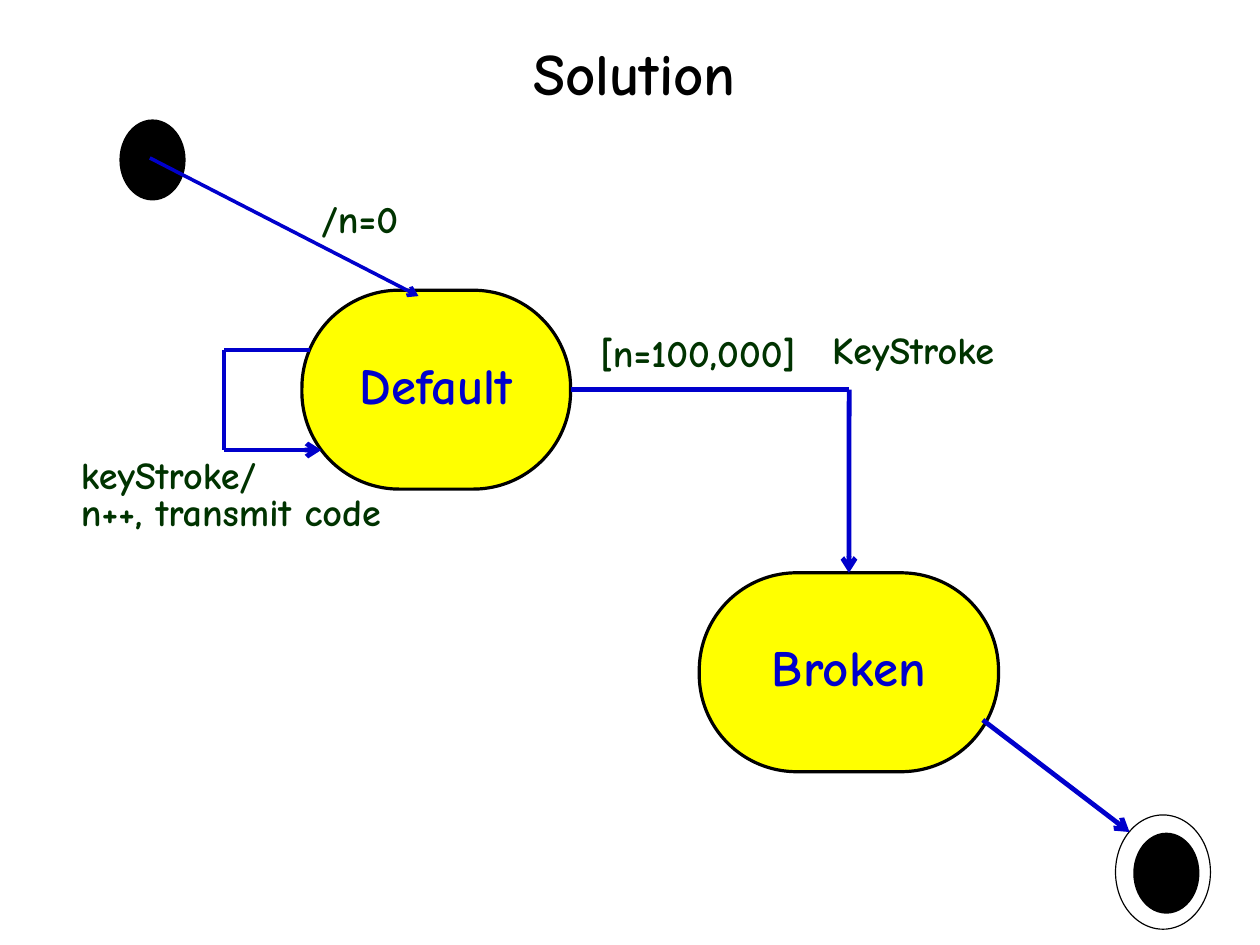
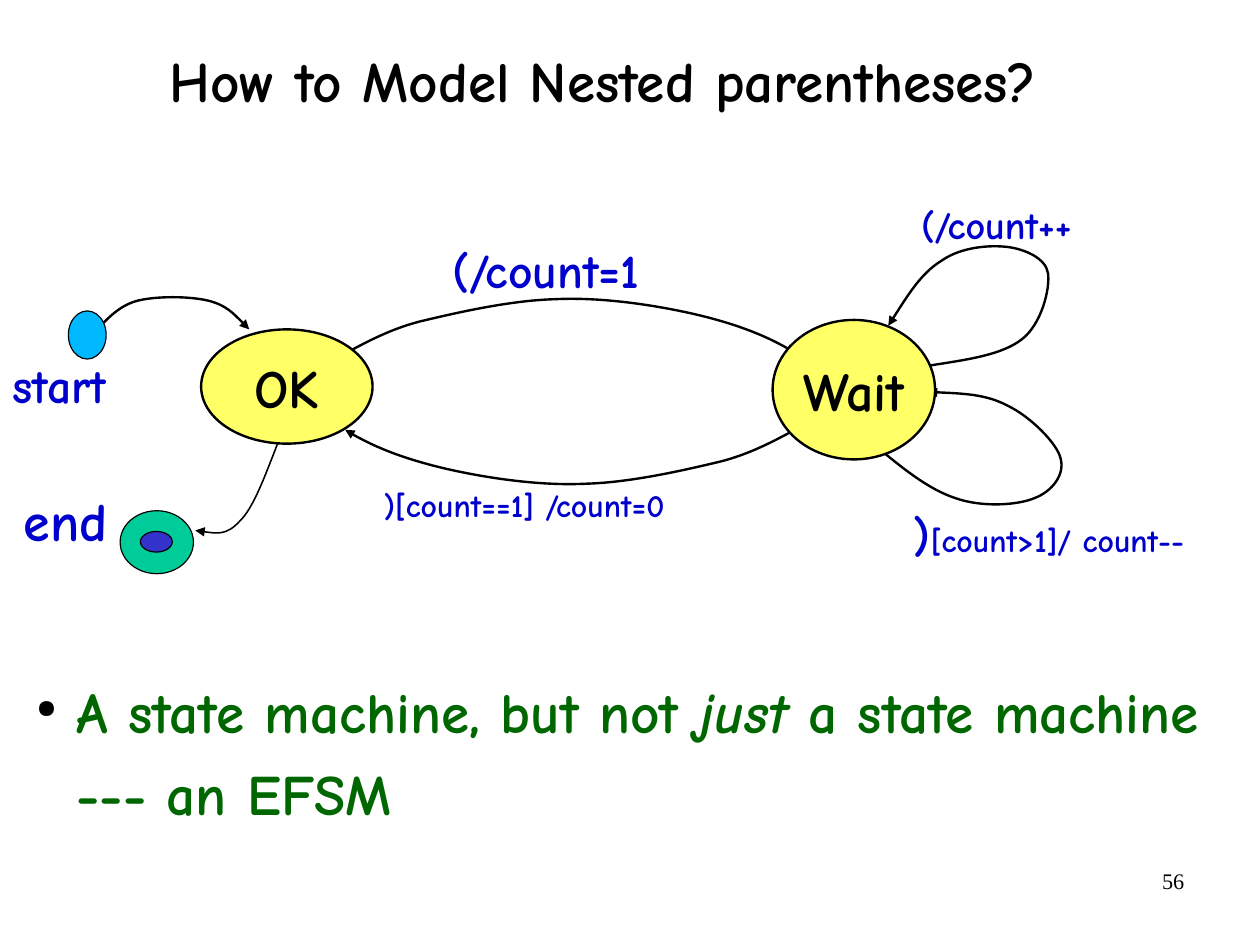
from lxml.etree import SubElement
from pptx import Presentation
from pptx.dml.color import RGBColor
from pptx.enum.shapes import MSO_CONNECTOR, MSO_SHAPE
from pptx.enum.text import MSO_ANCHOR, PP_ALIGN
from pptx.oxml.ns import qn
from pptx.util import Cm, Pt

COLORS = {
    "black": "000000", "blue": "0000CC", "label": "003300", "green": "006600",
    "yellow": "FFFF00", "pale": "FFFF66", "sky": "00B8FF", "teal": "00CC99",
    "indigo": "3333CC",
}
FONT = "Comic Neue"
TITLE = {"color": "black", "align": PP_ALIGN.CENTER}


def write(shape, paragraphs, size, color, align=PP_ALIGN.LEFT, spacing=1.0,
          anchor=MSO_ANCHOR.TOP, font=FONT, wrap=True):
    frame = shape.text_frame
    frame.word_wrap = wrap
    frame.vertical_anchor = anchor
    frame.margin_left = frame.margin_right = Cm(0.28)
    frame.margin_top = frame.margin_bottom = Cm(0.15)
    for index, runs in enumerate(paragraphs):
        paragraph = frame.add_paragraph() if index else frame.paragraphs[0]
        paragraph.alignment = align
        paragraph.line_spacing = spacing
        for text, run_size, italic in runs:
            run = paragraph.add_run()
            run.text = text
            run.font.name = font
            run.font.size = Pt(run_size or size)
            run.font.bold = font == FONT
            run.font.italic = italic
            run.font.color.rgb = RGBColor.from_string(COLORS[color])


def outline(shape, color, width, arrow=None):
    shape.line.color.rgb = RGBColor.from_string(COLORS[color])
    shape.line.width = Pt(width)
    properties = shape._element.spPr
    if arrow:
        SubElement(properties.find(qn("a:ln")), qn("a:tailEnd"), type=arrow)
    SubElement(properties, qn("a:effectLst"))


presentation = Presentation()
presentation.slide_width = Cm(28)
presentation.slide_height = Cm(21)
blank = presentation.slide_layouts[6]

slide = presentation.slides.add_slide(blank)
title = slide.shapes.add_textbox(Cm(2.16), Cm(0), Cm(23.88), Cm(3.48))
write(title, [[("Solution", None, False)]], 37, spacing=0.8,
      anchor=MSO_ANCHOR.MIDDLE, **TITLE)

states = {}
for name, left, top, width in [("Default", 6.71, 6.45, 5.97), ("Broken", 15.54, 12.73, 6.65)]:
    state = slide.shapes.add_shape(MSO_SHAPE.ROUNDED_RECTANGLE, Cm(left), Cm(top), Cm(width), Cm(4.42))
    state.adjustments[0] = 0.49
    state.fill.solid()
    state.fill.fore_color.rgb = RGBColor.from_string(COLORS["yellow"])
    outline(state, "black", 2)
    write(state, [[(name, None, False)]], 32, "blue", PP_ALIGN.CENTER, 0.8, MSO_ANCHOR.MIDDLE)
    states[name] = state

for left, top in [(2.69, 2.69), (25.22, 18.54)]:
    dot = slide.shapes.add_shape(MSO_SHAPE.FLOWCHART_CONNECTOR, Cm(left), Cm(top), Cm(1.4), Cm(1.73))
    dot.fill.solid()
    dot.fill.fore_color.rgb = RGBColor.from_string(COLORS["black"])
    outline(dot, "black", 2)
ring = slide.shapes.add_shape(MSO_SHAPE.OVAL, Cm(24.79), Cm(18.11), Cm(2.11), Cm(2.54))
ring.fill.background()
outline(ring, "black", 0.75)

for x1, y1, x2, y2, width, arrow, source, target in [
    (12.68, 8.66, 18.87, 8.66, 3, None, "Default", None),
    (18.87, 8.66, 18.87, 12.73, 3, "arrow", None, "Broken"),
    (6.88, 7.78, 4.98, 7.78, 3, None, None, None),
    (4.98, 7.78, 4.98, 10, 3, None, None, None),
    (4.98, 10, 7.14, 10, 3, "arrow", None, None),
    (3.33, 3.51, 9.3, 6.58, 2.25, "arrow", None, None),
    (21.84, 16, 25.1, 18.49, 3, "arrow", None, None),
]:
    transition = slide.shapes.add_connector(MSO_CONNECTOR.STRAIGHT, Cm(x1), Cm(y1), Cm(x2), Cm(y2))
    if source:
        transition.begin_connect(states[source], 3)
    if target:
        transition.end_connect(states[target], 0)
    outline(transition, "blue", width, arrow)

for lines, left, top, width, height in [
    (["[n=100,000]"], 13.06, 7.37, 5.66, 1.12),
    (["keyStroke/", "n++, transmit code"], 1.52, 10.08, 10.8, 1.93),
    (["/n=0"], 6.86, 4.39, 2.49, 1.12),
    (["KeyStroke"], 18.21, 7.3, 4.78, 1.12),
]:
    label = slide.shapes.add_textbox(Cm(left), Cm(top), Cm(width), Cm(height))
    write(label, [[(line, None, False)] for line in lines], 24, "label", spacing=0.8)

slide = presentation.slides.add_slide(blank)
title = slide.shapes.add_textbox(Cm(0.66), Cm(1.24), Cm(25.48), Cm(1.45))
write(title, [[("How to Model Nested parentheses?", None, False)]], 36, spacing=0.88,
      anchor=MSO_ANCHOR.BOTTOM, **TITLE)

open_curve = [
    (7.67, 7.85), (7.95, 7.72), (8.56, 7.34), (9.35, 7.14), (10.11, 6.96),
    (11.3, 6.68), (12.32, 6.65), (13.31, 6.6), (14.43, 6.76), (15.34, 6.96),
    (16.23, 7.16), (17.09, 7.47), (17.68, 7.85),
]
close_curve = [(25.35 - x, 17.4 - y) for x, y in open_curve]
nested_open_loop = [
    (20.62, 8.13), (21.44, 8), (22.25, 7.9), (22.71, 7.54), (23.14, 7.21),
    (23.34, 6.43), (23.29, 6.07), (23.24, 5.74), (22.78, 5.54), (22.4, 5.49),
    (21.99, 5.44), (21.36, 5.49), (20.93, 5.79), (20.47, 6.07), (20.12, 6.65),
    (19.74, 7.24),
]
nested_close_loop = [
    (19.46, 9.91), (20.04, 10.39), (20.62, 10.87), (21.23, 11.07), (21.82, 11.28),
    (22.61, 11.23), (22.99, 11.07), (23.39, 10.92), (23.67, 10.54), (23.57, 10.19),
    (23.5, 9.86), (22.89, 9.25), (22.4, 9.02), (21.92, 8.76), (21.29, 8.74),
    (20.62, 8.71),
]
start_curve = [
    (2.16, 7.32), (2.41, 7.06), (2.67, 6.78), (3.07, 6.68), (3.48, 6.58),
    (4.19, 6.58), (4.62, 6.68), (5.03, 6.78), (5.28, 7.06), (5.54, 7.32),
]
end_curve = [
    (6.17, 9.86), (5.89, 10.57), (5.64, 11.28), (5.33, 11.58), (5.03, 11.91),
    (4.7, 11.84), (4.34, 11.79),
]
for points, width in [
    (open_curve, 1.5), (close_curve, 1.5), (nested_open_loop, 1.5),
    (nested_close_loop, 1.5), (start_curve, 1.5), (end_curve, 1),
]:
    start, *controls = [(Cm(x), Cm(y)) for x, y in points]
    builder = slide.shapes.build_freeform(*start)
    builder.add_line_segments(controls, close=False)
    curve = builder.convert_to_shape()
    curve.fill.background()
    outline(curve, "black", width, "triangle")
    geometry = curve._element.spPr.find(".//" + qn("a:path"))
    segments = geometry.findall(qn("a:lnTo"))
    for index in range(0, len(segments), 3):
        bezier = SubElement(geometry, qn("a:cubicBezTo"))
        for segment in segments[index:index + 3]:
            bezier.append(segment[0])
            geometry.remove(segment)

for name, left, top, width, height, fill, line_width in [
    (None, 1.52, 6.91, 0.84, 1.07, "sky", 0.75),
    ("OK", 4.47, 7.32, 3.81, 2.54, "pale", 1.5),
    ("Wait", 17.17, 7.11, 3.61, 3.1, "pale", 1.5),
    (None, 2.67, 11.35, 1.63, 1.4, "teal", 0.75),
    (None, 3.12, 11.81, 0.71, 0.46, "indigo", 0.75),
]:
    node = slide.shapes.add_shape(MSO_SHAPE.OVAL, Cm(left), Cm(top), Cm(width), Cm(height))
    node.fill.solid()
    node.fill.fore_color.rgb = RGBColor.from_string(COLORS[fill])
    outline(node, "black", line_width)
    if name:
        write(node, [[(name, None, False)]], 34, "black", PP_ALIGN.CENTER,
              anchor=MSO_ANCHOR.MIDDLE, wrap=False)

for runs, size, left, top, width, height in [
    ([("(/count=1", None, False)], 30, 9.78, 5.21, 8.84, 1.55),
    ([(")[count==1] /count=0", None, False)], 20, 8.25, 10.64, 17.17, 1.14),
    ([("(/count++", None, False)], 24, 20.19, 4.32, 7.8, 1.32),
    ([(")", None, False), ("[count>1]/ count--", 20, False)], 30, 20.03, 11.07, 7.2, 1.57),
    ([("start", None, False)], 30, 0, 7.75, 3.25, 1.55),
    ([("end", None, False)], 34, 0.25, 10.69, 3.68, 1.73),
]:
    label = slide.shapes.add_textbox(Cm(left), Cm(top), Cm(width), Cm(height))
    write(label, [runs], size, "blue")

body = slide.shapes.add_textbox(Cm(0.25), Cm(14.58), Cm(26.87), Cm(3.51))
bullet = body.text_frame.paragraphs[0]._p.get_or_add_pPr()
bullet.set("marL", str(Cm(1.17)))
bullet.set("indent", str(Cm(-0.89)))
SubElement(SubElement(bullet, qn("a:buClr")), qn("a:srgbClr"), val=COLORS["black"])
SubElement(bullet, qn("a:buSzPct"), val="45000")
SubElement(bullet, qn("a:buChar"), char="●")
write(body, [[("A state machine, but not ", None, False), ("just", None, True),
              (" a state machine --- an EFSM", None, False)]], 36, "green", spacing=1.2)

page_number = slide.shapes.add_textbox(Cm(20.07), Cm(19.13), Cm(6.53), Cm(1.45))
write(page_number, [[("56", None, False)]], 14, "black", PP_ALIGN.RIGHT, font="Times New Roman")

presentation.save("out.pptx")
